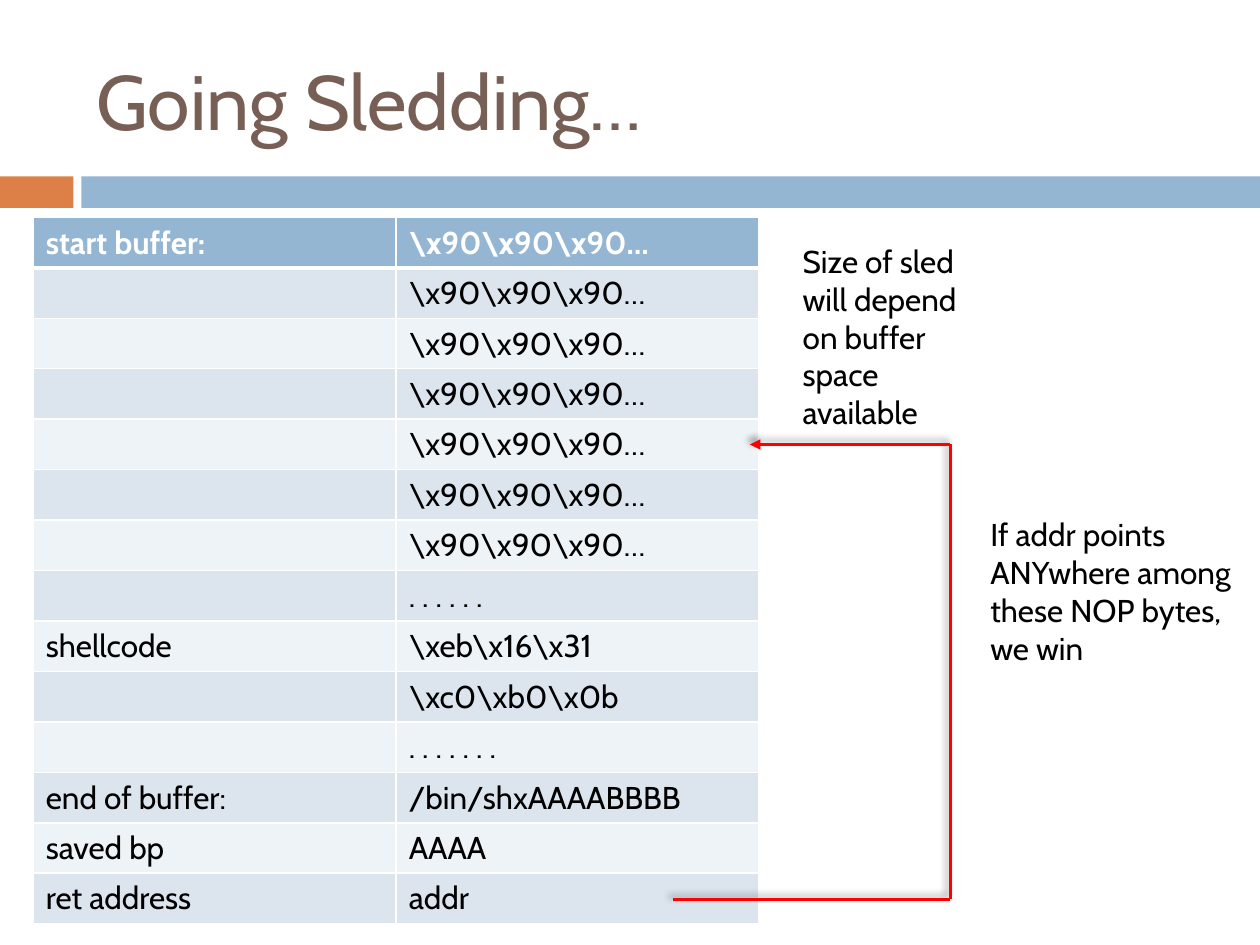
from dataclasses import dataclass

from lxml import etree
from pptx import Presentation
from pptx import util as u
from pptx.dml import color
from pptx.enum import shapes, text
from pptx.oxml import ns


@dataclass(frozen=True)
class Theme:
    font: str = "Cabin"
    title_size: float = 44
    body_size: float = 18
    title: str = "775F55"
    ink: str = "000000"
    paper: str = "FFFFFF"
    orange: str = "DD8047"
    blue: str = "94B6D2"
    bands: tuple = ("DCE5EE", "EEF3F7")
    arrow: str = "FF0000"


def rgb(value):
    return color.RGBColor.from_string(value)


def apply(target, values):
    for name, value in values.items():
        setattr(target, name, value)


def child(parent, tag, **attributes):
    return etree.SubElement(parent, ns.qn(tag), attributes)


class Painter:
    def __init__(self, slide, theme):
        self.slide, self.theme = slide, theme

    def bar(self, left, top, width, height, fill):
        bar = self.slide.shapes.add_shape(
            shapes.MSO_SHAPE.RECTANGLE, *map(u.Pt, (left, top, width, height)))
        bar.shadow.inherit = False
        bar.fill.solid()
        bar.fill.fore_color.rgb = rgb(fill)
        bar.line.fill.background()

    def add_span(self, para, words, ink, size=None, bold=False):
        span = para.add_run()
        span.text = words
        apply(span.font, {"name": self.theme.font, "bold": bold,
                          "size": u.Pt(size or self.theme.body_size)})
        span.font.color.rgb = rgb(ink)

    def text(self, left, top, width, height, lines, ink, size=None,
             anchor=text.MSO_ANCHOR.TOP):
        box = self.slide.shapes.add_textbox(*map(u.Pt, (left, top, width, height)))
        frame = box.text_frame
        apply(frame, {"word_wrap": True, "vertical_anchor": anchor})
        for index, line in enumerate(lines):
            para = frame.add_paragraph() if index else frame.paragraphs[0]
            self.add_span(para, line, ink, size)

    def borders(self, cell, widths):
        properties = cell._tc.get_or_add_tcPr()
        for index, (side, width) in enumerate(widths.items()):
            line = etree.Element(ns.qn(f"a:ln{side}"), w=str(u.Pt(width)))
            child(child(line, "a:solidFill"), "a:srgbClr", val=self.theme.paper)
            properties.insert(index, line)

    def table(self, left, top, width, height, rows):
        theme = self.theme
        table = self.slide.shapes.add_table(
            len(rows), len(rows[0]), *map(u.Pt, (left, top, width, height))).table
        for r, row in enumerate(rows):
            header = r == 0
            fill = theme.blue if header else theme.bands[(r - 1) % 2]
            for c, words in enumerate(row):
                cell = table.cell(r, c)
                cell.fill.solid()
                cell.fill.fore_color.rgb = rgb(fill)
                self.borders(cell, {"L": 1, "R": 1, "T": 3 if r == 1 else 1,
                                    "B": 3 if header else 1})
                if words:
                    self.add_span(cell.text_frame.paragraphs[0], words,
                                  theme.paper if header else theme.ink, bold=header)

    def line(self, start, end, head=False):
        line = self.slide.shapes.add_connector(
            shapes.MSO_CONNECTOR.STRAIGHT, *map(u.Pt, start + end))
        line.line.width = u.Pt(1.5)
        line.line.color.rgb = rgb(self.theme.arrow)
        properties = line._element.spPr
        if head:
            child(properties.find(ns.qn("a:ln")), "a:headEnd", type="triangle")
        # Soft shadow toward the upper left
        shadow = child(child(properties, "a:effectLst"), "a:outerShdw",
                       blurRad=str(u.Pt(4)), dist=str(u.Pt(3)),
                       dir=str(225 * 60000), rotWithShape="0")
        tint = child(shadow, "a:srgbClr", val=self.theme.ink)
        child(tint, "a:alpha", val="40000")


theme = Theme()
deck = Presentation()
apply(deck, {"slide_width": u.Pt(720), "slide_height": u.Pt(540)})
page = deck.slides.add_slide(deck.slide_layouts[6])
painter = Painter(page, theme)

# Title and divider
painter.bar(0, 100.8, 42, 18, theme.orange)
painter.bar(46.5, 100.8, 673.5, 18, theme.blue)
painter.text(48, 18, 642, 78, ["Going Sledding…"], theme.title,
             theme.title_size, text.MSO_ANCHOR.MIDDLE)

# Stack layout
sled = r"\x90\x90\x90…"
painter.table(19, 124.2, 414.8, 403.2, [
    ("start buffer:", sled),
    *[("", sled)] * 6,
    ("", ". . . . . ."),
    ("shellcode", r"\xeb\x16\x31"),
    ("", r"\xc0\xb0\x0b"),
    ("", ". . . . . . . "),
    ("end of buffer:", "/bin/shxAAAABBBB"),
    ("saved bp", "AAAA"),
    ("ret address", "addr"),
])

# Arrow from the return address back into the sled
turn_x, sled_y, address_y = 543, 254, 514
painter.line((384.5, address_y), (turn_x, address_y))
painter.line((turn_x, address_y), (turn_x, sled_y))
painter.line((428.5, sled_y), (turn_x, sled_y), head=True)

# Notes beside the table
painter.text(558.8, 291, 152.6, 94.5,
             ["If addr points ANYwhere among these NOP bytes, we win"], theme.ink)
painter.text(451.6, 134.8, 121, 94.5,
             ["Size of sled", "will depend", "on buffer space", "available"],
             theme.ink)

deck.save("out.pptx")
